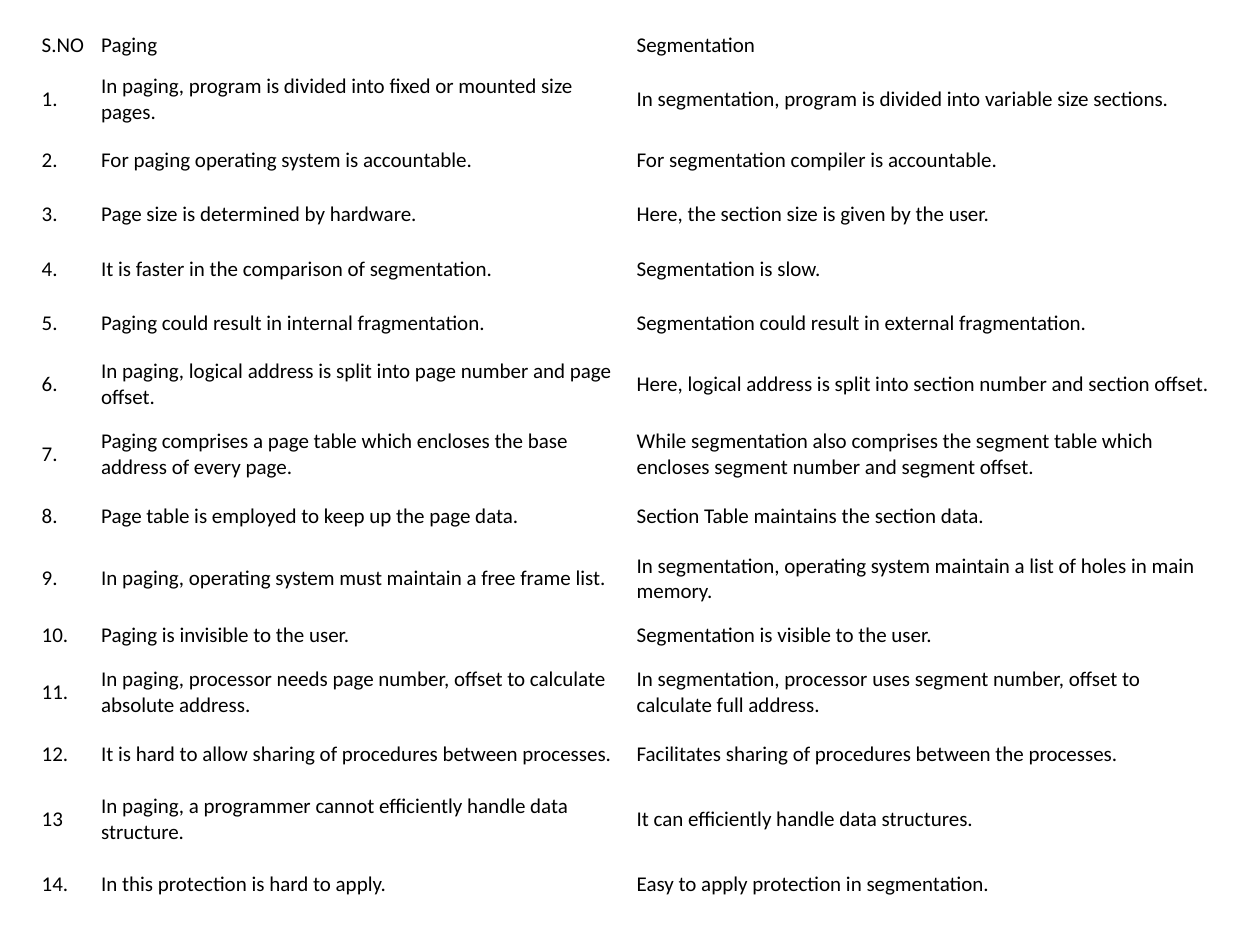
from pptx import Presentation
from pptx.dml.color import RGBColor
from pptx.enum.text import MSO_ANCHOR
from pptx.util import Pt

MIDDLE = MSO_ANCHOR.MIDDLE
BLANK_LAYOUT = 6
COLORS = {"text": "000000", "cell": "FFFFFF"}

# Table geometry in points
LEFT, TOP = 20.2, 15.1
COLUMN_WIDTHS = [34, 306, 340]
HEADER_HEIGHT, ROW_HEIGHT = 18.8, 31
SPECIAL_HEIGHTS = {7: 40.2, 9: 40.2, 10: 21.6, 11: 40.2, 13: 43.2}
SIDE_MARGIN = 3.6
HEADER_MARGIN, BODY_MARGIN = 3.6, 5

ROWS = [
    ("S.NO", "Paging", "Segmentation"),
    ("1.", "In paging, program is divided into fixed or mounted size pages.",
     "In segmentation, program is divided into variable size sections."),
    ("2.", "For paging operating system is accountable.",
     "For segmentation compiler is accountable."),
    ("3.", "Page size is determined by hardware.",
     "Here, the section size is given by the user."),
    ("4.", "It is faster in the comparison of segmentation.",
     "Segmentation is slow."),
    ("5.", "Paging could result in internal fragmentation.",
     "Segmentation could result in external fragmentation."),
    ("6.", "In paging, logical address is split into page number and page offset.",
     "Here, logical address is split into section number and section offset."),
    ("7.", "Paging comprises a page table which encloses the base address of every page.",
     "While segmentation also comprises the segment table which encloses "
     "segment number and segment offset."),
    ("8.", "Page table is employed to keep up the page data.",
     "Section Table maintains the section data."),
    ("9.", "In paging, operating system must maintain a free frame list.",
     "In segmentation, operating system maintain a list of holes in main memory."),
    ("10.", "Paging is invisible to the user.",
     "Segmentation is visible to the user."),
    ("11.", "In paging, processor needs page number, offset to calculate absolute address.",
     "In segmentation, processor uses segment number, offset to calculate full address."),
    ("12.", "It is hard to allow sharing of procedures between processes.",
     "Facilitates sharing of procedures between the processes."),
    ("13", "In paging, a programmer cannot efficiently handle data structure.",
     "It can efficiently handle data structures."),
    ("14.", "In this protection is hard to apply.",
     "Easy to apply protection in segmentation."),
]


def write_text(text_frame, text, *, size=12, font="Calibri", color="text"):
    paragraph = text_frame.paragraphs[0]
    run = paragraph.add_run()
    run.text = text
    run.font.size = Pt(size)
    run.font.name = font
    run.font.color.rgb = RGBColor.from_string(COLORS[color])


def format_cell(cell, vertical_margin):
    cell.fill.solid()
    cell.fill.fore_color.rgb = RGBColor.from_string(COLORS["cell"])
    cell.vertical_anchor = MIDDLE
    cell.margin_left = cell.margin_right = Pt(SIDE_MARGIN)
    cell.margin_top = cell.margin_bottom = Pt(vertical_margin)


def add_comparison_table(slide):
    heights = [HEADER_HEIGHT] + [
        SPECIAL_HEIGHTS.get(index, ROW_HEIGHT) for index in range(1, len(ROWS))
    ]
    shape = slide.shapes.add_table(
        len(ROWS), len(COLUMN_WIDTHS), Pt(LEFT), Pt(TOP),
        Pt(sum(COLUMN_WIDTHS)), Pt(sum(heights)))
    table = shape.table
    table.first_row = False
    table.horz_banding = False

    for column, width in zip(table.columns, COLUMN_WIDTHS):
        column.width = Pt(width)

    for row_index, (row, height, texts) in enumerate(zip(table.rows, heights, ROWS)):
        row.height = Pt(height)
        margin = BODY_MARGIN if row_index else HEADER_MARGIN
        for cell, text in zip(row.cells, texts):
            format_cell(cell, margin)
            write_text(cell.text_frame, text)


def main():
    presentation = Presentation()
    presentation.slide_width = Pt(720)
    presentation.slide_height = Pt(540)
    slide = presentation.slides.add_slide(presentation.slide_layouts[BLANK_LAYOUT])
    add_comparison_table(slide)
    presentation.save("out.pptx")


if __name__ == "__main__":
    main()
